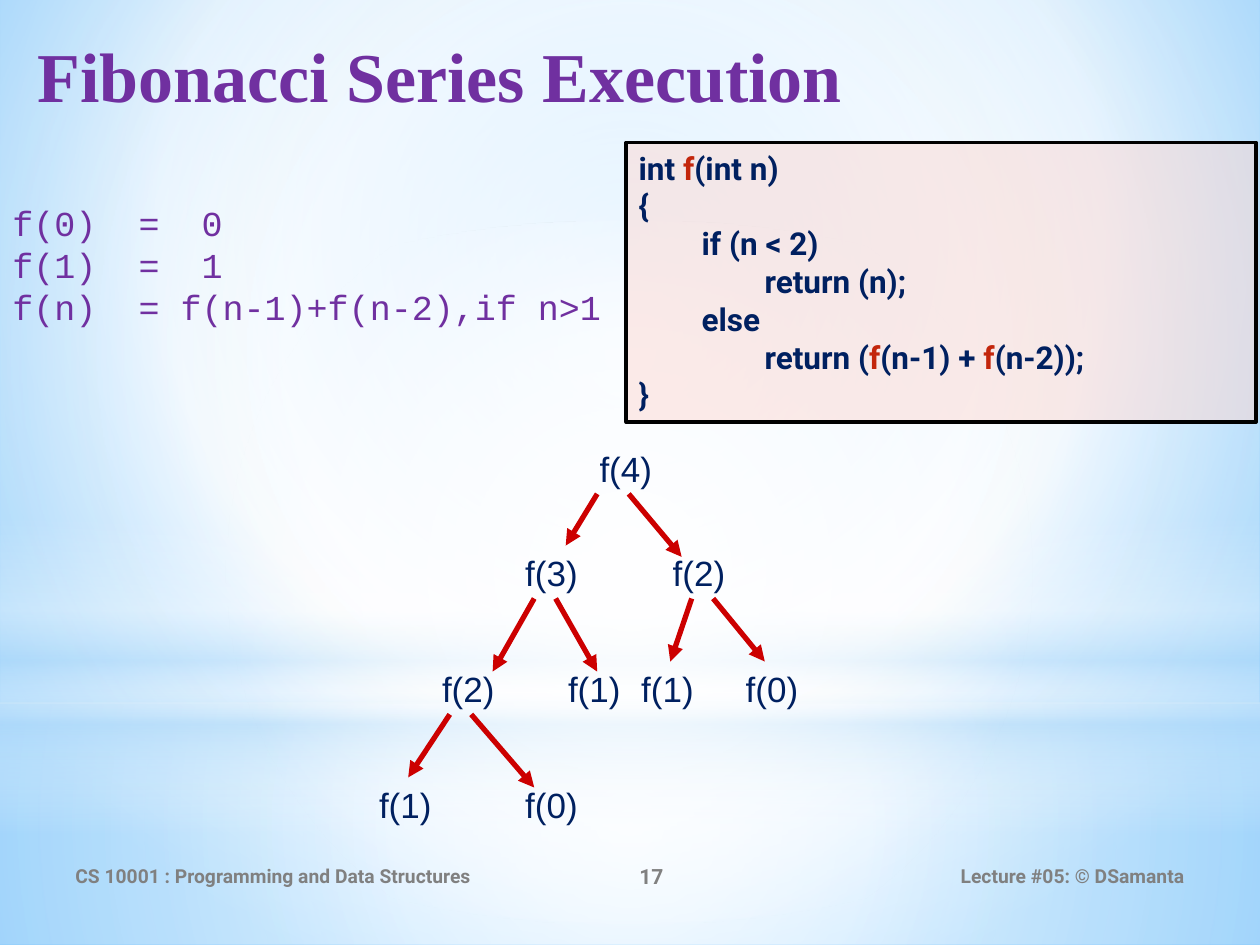
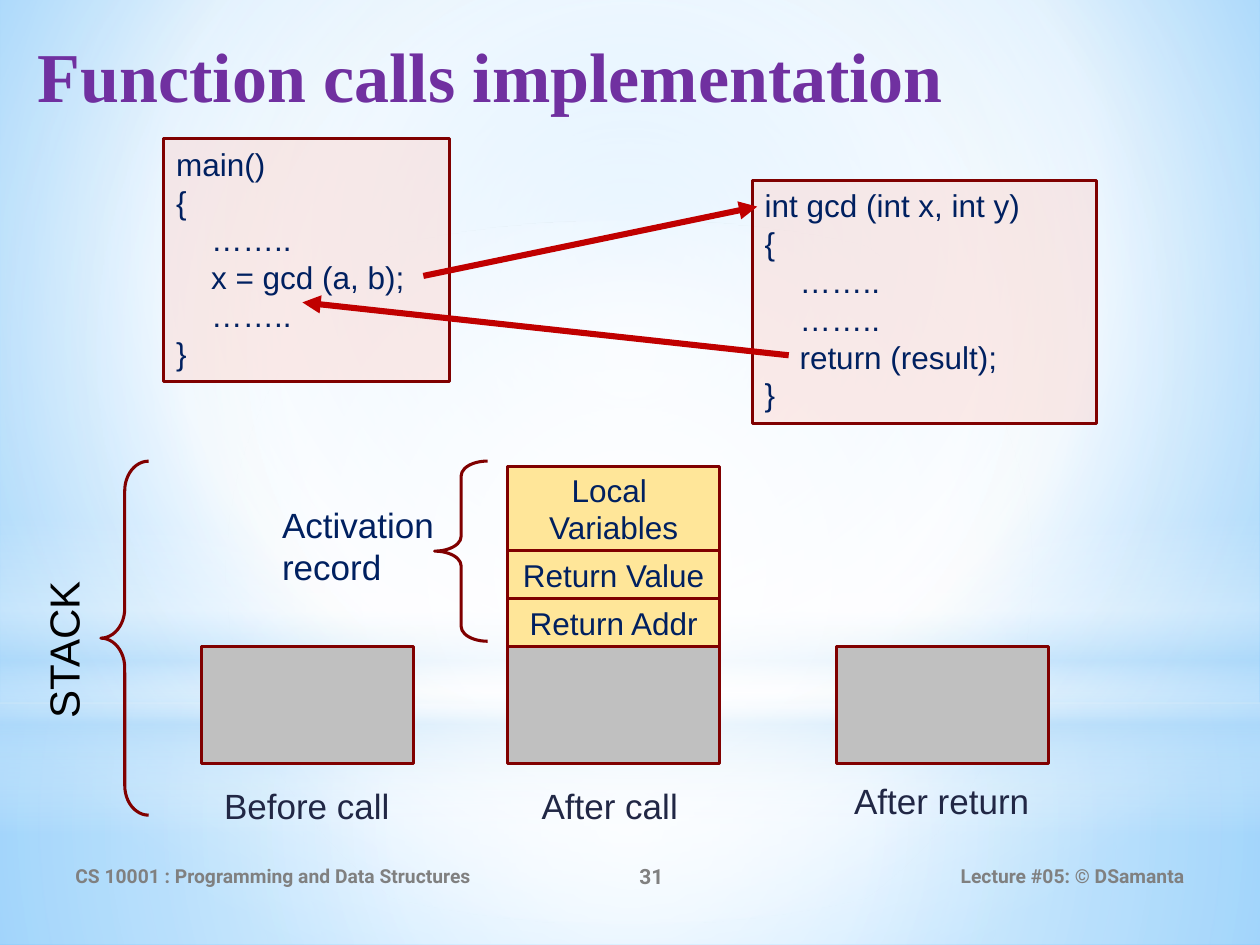
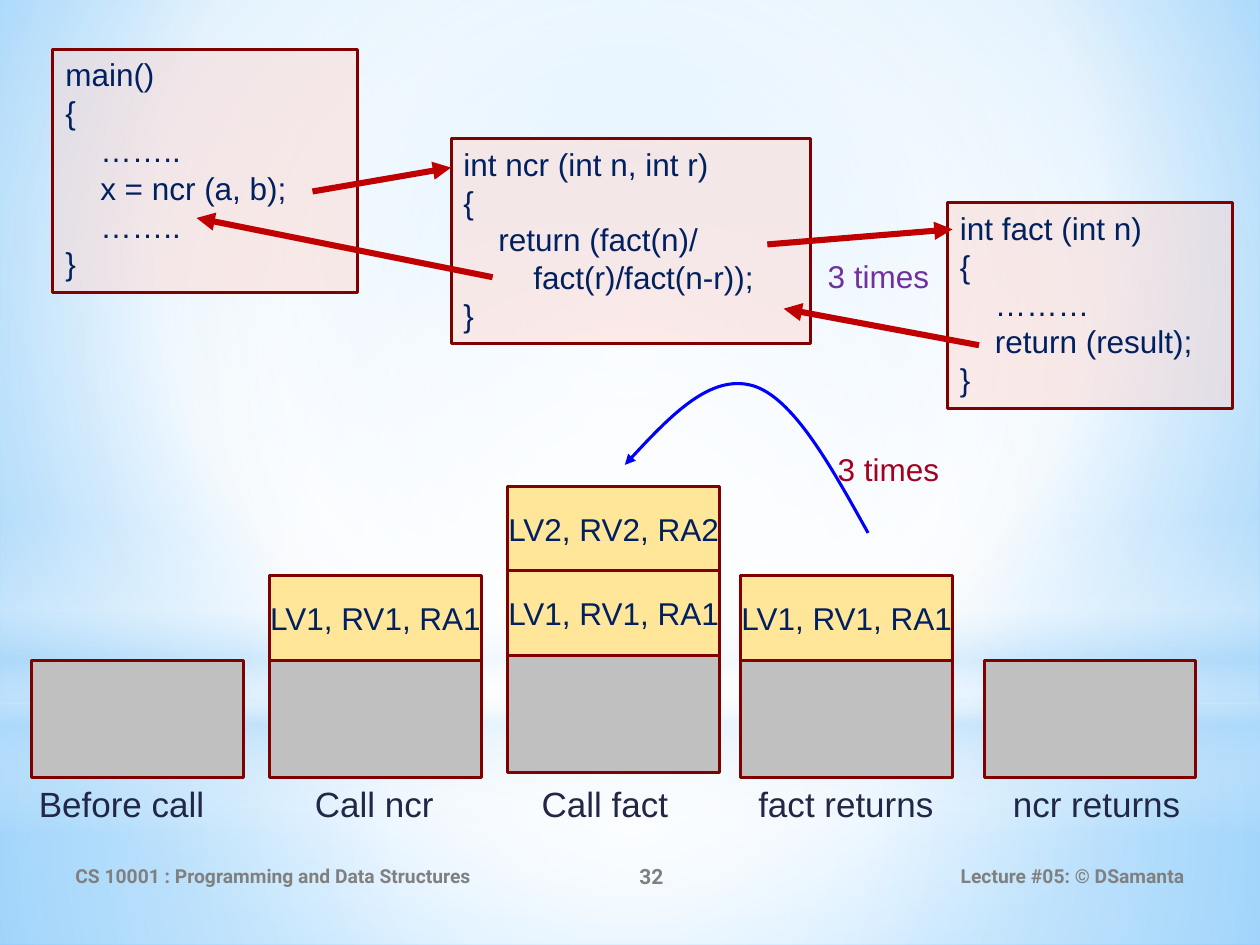
from dataclasses import dataclass
from typing import Optional

import lxml.etree as etree
import pptx
import pptx.dml.color
import pptx.enum.shapes
import pptx.enum.text
import pptx.oxml.ns
import pptx.util

Inches = pptx.util.Inches
qn = pptx.oxml.ns.qn
Align = pptx.enum.text.PP_ALIGN
Anchor = pptx.enum.text.MSO_ANCHOR
Fit = pptx.enum.text.MSO_AUTO_SIZE
Preset = pptx.enum.shapes.MSO_SHAPE

TITLE_ONLY, BLANK = 5, 6


@dataclass(frozen=True)
class TextStyle:
    size: float
    color: str
    font: str = "Arial"
    bold: bool = False


@dataclass(frozen=True)
class Theme:
    highlight: str = "C3260C"
    code_fill: str = "FCD9D3"
    outline: str = "800000"
    code_outline: str = "000000"
    tree_arrow: str = "CC0000"
    call_arrow: str = "C00000"
    loop_arrow: str = "0000FF"
    used: str = "C0C0C0"
    record: str = "FFE699"
    border: float = 1.75
    title: TextStyle = TextStyle(40, "7030A0", "Times New Roman", True)
    footer: TextStyle = TextStyle(11, "808080", "Roboto", True)
    number: TextStyle = TextStyle(12, "808080", "Roboto", True)
    recurrence: TextStyle = TextStyle(20, "7030A0", "Courier New")
    function: TextStyle = TextStyle(18, "002060", "Roboto", True)
    code: TextStyle = TextStyle(18, "002060")
    node: TextStyle = TextStyle(20, "002060")
    caption: TextStyle = TextStyle(20, "212745")
    stack: TextStyle = TextStyle(24, "000000")
    call_count: TextStyle = TextStyle(18, "7030A0")
    loop_count: TextStyle = TextStyle(18, "A50021")


THEME = Theme()


@dataclass(frozen=True)
class Box:
    left: float
    top: float
    width: float
    height: float

    def emu(self) -> tuple:
        return tuple(Inches(v) for v in (self.left, self.top, self.width, self.height))


@dataclass(frozen=True)
class Gradient:
    """Stops are (position, colour, opacity); a focus (l, t, r, b) makes it circular."""
    stops: tuple
    focus: Optional[tuple] = None


@dataclass(frozen=True)
class Glow:
    preset: int
    box: Box
    gradient: Gradient


@dataclass(frozen=True)
class Code:
    box: Box
    lines: tuple


@dataclass(frozen=True)
class Arrow:
    x1: float
    y1: float
    x2: float
    y2: float


@dataclass(frozen=True)
class Frame:
    text: str
    height: float = 0.67


@dataclass(frozen=True)
class Stack:
    """A used block with activation frames piled on it, bottom first."""
    left: float
    bottom: float
    caption: str
    caption_left: float
    caption_top: float
    frames: tuple = ()


CENTRE = (50, 50, 50, 50)
BACKDROP = Gradient(((0, "9ED5FF", 100), (60, "FFFFFF", 100), (100, "5BB9FF", 100)),
                    (20, 10, 20, 60))
GLOWS = (
    Glow(Preset.RECTANGLE, Box(0, 5.58, 10, 1.92), Gradient(
        ((0, "FFFFFF", 91), (37, "FFFFFF", 76), (100, "B4DCFA", 79)), CENTRE)),
    Glow(Preset.RECTANGLE, Box(0, 0, 10, 5.58), Gradient(
        ((0, "FFFFFF", 89), (48, "FFFFFF", 62), (100, "B4DCFA", 79)), CENTRE)),
    Glow(Preset.RECTANGLE, Box(0, 4.12, 10, 2.5), Gradient(
        ((0, "FFFFFF", 0), (29, "FFFFFF", 30), (45, "B4DCFA", 40),
         (55, "FFFFFF", 26), (65, "B4DCFA", 60), (100, "FFFFFF", 0)))),
    Glow(Preset.OVAL, Box(0, 1.75, 10, 5.58), Gradient(
        ((0, "FFFFFF", 100), (56, "FFFFFF", 0)), CENTRE)),
)


def rgb(color: str):
    return pptx.dml.color.RGBColor.from_string(color)


def set_opacity(color_element, percent: float) -> None:
    etree.SubElement(color_element, qn("a:alpha"), val=str(percent * 1000))


def swap_in_gradient(properties, gradient: Gradient) -> None:
    """Replace the solid fill in a properties element by a gradient."""
    fill = etree.Element(qn("a:gradFill"), rotWithShape="1")
    stops = etree.SubElement(fill, qn("a:gsLst"))
    for position, color, opacity in gradient.stops:
        stop = etree.SubElement(stops, qn("a:gs"), pos=str(position * 1000))
        set_opacity(etree.SubElement(stop, qn("a:srgbClr"), val=color), opacity)
    if gradient.focus:
        circle = etree.SubElement(fill, qn("a:path"), {"path": "circle"})
        sides = {side: str(v * 1000) for side, v in zip("ltrb", gradient.focus)}
        etree.SubElement(circle, qn("a:fillToRect"), sides)
    else:
        etree.SubElement(fill, qn("a:lin"), ang="5400000", scaled="0")
    properties.replace(properties.find(qn("a:solidFill")), fill)


def write(frame, lines: tuple, style: TextStyle, align=Align.LEFT,
          anchor=Anchor.TOP, fit=Fit.NONE, wrap: bool = True) -> None:
    """Write one paragraph per line; parts between bars are highlighted."""
    frame.text = "\n".join(lines)
    frame.word_wrap = wrap
    frame.auto_size = fit
    frame.vertical_anchor = anchor
    for paragraph in frame.paragraphs:
        paragraph.alignment = align
        first, *rest = paragraph.text.split("|")
        paragraph.text = first
        for piece in rest:
            paragraph.add_run().text = piece
        for index, run in enumerate(paragraph.runs):
            run.font.name = style.font
            run.font.size = pptx.util.Pt(style.size)
            run.font.bold = style.bold
            run.font.color.rgb = rgb(THEME.highlight if index % 2 else style.color)


def add_text(slide, box: Box, text: str, style: TextStyle, **options):
    label = slide.shapes.add_textbox(*box.emu())
    write(label.text_frame, tuple(text.split("\n")), style, **options)
    return label


def add_block(slide, preset, box: Box, fill: Optional[str],
              outline: str = THEME.outline, border: float = THEME.border):
    block = slide.shapes.add_shape(preset, *box.emu())
    block.shadow.inherit = False
    if fill:
        block.fill.solid()
        block.fill.fore_color.rgb = rgb(fill)
    else:
        block.fill.background()
    block.line.color.rgb = rgb(outline)
    block.line.width = pptx.util.Pt(border)
    return block


def add_code(slide, code: Code, style: TextStyle = THEME.code, **outline):
    listing = add_block(slide, Preset.RECTANGLE, code.box, THEME.code_fill, **outline)
    set_opacity(listing.element.spPr.find(qn("a:solidFill"))[0], 50)
    write(listing.text_frame, code.lines, style, fit=Fit.SHAPE_TO_FIT_TEXT)
    return listing


def add_arrowhead(line) -> None:
    etree.SubElement(line.element.spPr.find(qn("a:ln")), qn("a:tailEnd"), type="triangle")


def add_arrow(slide, arrow: Arrow, color: str, width: float) -> None:
    ends = (Inches(v) for v in (arrow.x1, arrow.y1, arrow.x2, arrow.y2))
    line = slide.shapes.add_connector(pptx.enum.shapes.MSO_CONNECTOR.STRAIGHT, *ends)
    line.line.color.rgb = rgb(color)
    line.line.width = pptx.util.Pt(width)
    add_arrowhead(line)
    etree.SubElement(line.element.spPr, qn("a:effectLst"))


def add_curved_arrow(slide, points: tuple, color: str) -> None:
    """Draw a chain of cubic curves: a start, then three points per curve."""
    start, *rest = [(Inches(x), Inches(y)) for x, y in points]
    builder = slide.shapes.build_freeform(*start)
    builder.add_line_segments(rest, close=False)
    curve = builder.convert_to_shape()
    curve.shadow.inherit = False
    curve.fill.background()
    curve.line.color.rgb = rgb(color)
    curve.line.width = pptx.util.Pt(THEME.border)
    add_arrowhead(curve)
    segments = list(curve.element.iter(qn("a:lnTo")))
    outline = segments[0].getparent()
    for first in range(0, len(segments), 3):
        bezier = etree.SubElement(outline, qn("a:cubicBezTo"))
        for segment in segments[first:first + 3]:
            bezier.append(segment[0])
            outline.remove(segment)


def add_brace(slide, box: Box, curl: float) -> None:
    brace = add_block(slide, Preset.LEFT_BRACE, box, None)
    brace.adjustments[0] = curl
    brace.adjustments[1] = 0.5


def add_stack(slide, stack: Stack) -> None:
    width, used_height = 1.68, 0.93
    top = stack.bottom - used_height
    add_block(slide, Preset.RECTANGLE, Box(stack.left, top, width, used_height), THEME.used)
    for frame in stack.frames:
        top -= frame.height
        record = add_block(slide, Preset.RECTANGLE,
                           Box(stack.left, top, width, frame.height), THEME.record)
        write(record.text_frame, tuple(frame.text.split("\n")), THEME.code,
              align=Align.CENTER, anchor=Anchor.MIDDLE, wrap=False)
    add_text(slide, Box(stack.caption_left, stack.caption_top, 2.06, 0.43),
             stack.caption, THEME.caption)


def add_calls(slide, codes: tuple, arrows: tuple, stacks: tuple) -> None:
    for code in codes:
        add_code(slide, code)
    for arrow in arrows:
        add_arrow(slide, arrow, THEME.call_arrow, 3.5)
    for stack in stacks:
        add_stack(slide, stack)


def start_slide(deck, number: int, title: Optional[str] = None):
    slide = deck.slides.add_slide(deck.slide_layouts[TITLE_ONLY if title else BLANK])
    if title:
        heading = slide.shapes.title
        heading.left, heading.top, heading.width, heading.height = Box(
            0.2, 0.21, 9.53, 1.1).emu()
        write(heading.text_frame, (title,), THEME.title)
    footers = (
        (Box(0.5, 6.75, 3.67, 0.4), "CS 10001 : Programming and Data Structures",
         THEME.footer, Align.LEFT),
        (Box(4.17, 6.75, 2, 0.4), str(number), THEME.number, Align.CENTER),
        (Box(6.75, 6.75, 2.75, 0.4), "Lecture #05: © DSamanta", THEME.footer, Align.RIGHT),
    )
    for box, text, style, align in footers:
        add_text(slide, box, text, style, align=align, anchor=Anchor.MIDDLE)
    return slide


def decorate_master(deck, slide) -> None:
    """Give the master its backdrop and move the glows, drawn on a slide, to it."""
    master = deck.slide_master
    master.background.fill.solid()
    master.background.fill.fore_color.rgb = rgb("FFFFFF")
    swap_in_gradient(next(master.element.iter(qn("p:bgPr"))), BACKDROP)
    for depth, glow in enumerate(GLOWS):
        light = add_block(slide, glow.preset, glow.box, "FFFFFF")
        light.line.fill.background()
        swap_in_gradient(light.element.spPr, glow.gradient)
        master.shapes.element.insert(2 + depth, light.element)


def fibonacci(deck):
    slide = start_slide(deck, 17, "Fibonacci Series Execution")
    add_text(slide, Box(0, 1.55, 4.92, 1.11),
             "f(0)  =  0\nf(1)  =  1\nf(n)  = f(n-1)+f(n-2),if n>1",
             THEME.recurrence, align=Align.JUSTIFY)
    calls_by_level = (
        (3.5, ((4, 4.66),)),
        (4.33, ((3, 4.07), (2, 5.24))),
        (5.25, ((2, 3.41), (1, 4.41), (1, 4.99), (0, 5.82))),
        (6.17, ((1, 2.91), (0, 4.07))),
    )
    for top, calls in calls_by_level:
        for argument, left in calls:
            add_text(slide, Box(left, top, 0.75, 0.43), f"f({argument})", THEME.node)
    branches = (
        Arrow(4.74, 3.92, 4.49, 4.33), Arrow(4.99, 3.92, 5.41, 4.42),
        Arrow(4.24, 4.75, 3.91, 5.33), Arrow(4.41, 4.75, 4.74, 5.33),
        Arrow(5.49, 4.75, 5.32, 5.25), Arrow(5.66, 4.75, 6.07, 5.25),
        Arrow(3.57, 5.67, 3.24, 6.17), Arrow(3.74, 5.67, 4.24, 6.25),
    )
    for branch in branches:
        add_arrow(slide, branch, THEME.tree_arrow, 3)
    listing = add_code(slide, Code(Box(4.97, 1.13, 5, 2.22), (
        "int |f|(int n)", "{", "if (n < 2)", "\treturn (n);", "else",
        "\treturn (|f|(n-1) + |f|(n-2));", "}")),
        THEME.function, outline=THEME.code_outline, border=2)
    for paragraph in listing.text_frame.paragraphs[2:6]:
        paragraph.level = 1
        properties = paragraph._p.get_or_add_pPr()
        properties.set("marL", str(Inches(0.5)))
        properties.set("indent", "0")
    return slide


def function_calls(deck) -> None:
    slide = start_slide(deck, 31, "Function calls implementation")
    codes = (
        Code(Box(1.3, 1.1, 2.27, 1.93), (
            "main()", "{", "    ……..", "    x = gcd (a, b);", "    ……..", "}")),
        Code(Box(5.97, 1.43, 2.73, 1.93), (
            "int gcd (int x, int y)", "{", "    ……..", "    ……..",
            "    return (result);", "}")),
    )
    arrows = (Arrow(3.36, 2.19, 6.01, 1.64), Arrow(6.26, 2.82, 2.4, 2.4))
    record = (Frame("Return Addr", 0.38), Frame("Return Value", 0.38),
              Frame("Local \nVariables"))
    stacks = (
        Stack(1.6, 6.06, "Before call", 1.68, 6.18),
        Stack(4.03, 6.06, "After call", 4.2, 6.18, record),
        Stack(6.64, 6.06, "After return", 6.68, 6.14),
    )
    add_calls(slide, codes, arrows, stacks)
    add_brace(slide, Box(0.8, 3.66, 0.38, 2.81), 0.62)
    add_brace(slide, Box(3.45, 3.66, 0.42, 1.43), 0.28)
    add_text(slide, Box(-0.74, 4.31, 2.48, 0.5), "STACK", THEME.stack).rotation = 270
    add_text(slide, Box(2.14, 3.95, 1.81, 0.77), "Activation record", THEME.node)


def nested_calls(deck) -> None:
    slide = start_slide(deck, 32)
    codes = (
        Code(Box(0.42, 0.39, 2.42, 1.93), (
            "main()", "{", "    ……..", "    x = ncr (a, b);", "    ……..", "}")),
        Code(Box(3.58, 1.1, 2.85, 1.63), (
            "int ncr (int n, int r)", "{", "    return (fact(n)/",
            "        fact(r)/fact(n-r));", "}")),
        Code(Box(7.52, 1.61, 2.26, 1.63), (
            "int fact (int n)", "{", "    ………", "    return (result);", "}")),
    )
    arrows = (
        Arrow(2.48, 1.52, 3.58, 1.33), Arrow(3.91, 2.2, 1.56, 1.73),
        Arrow(6.09, 1.94, 7.56, 1.82), Arrow(7.77, 2.74, 6.22, 2.45),
    )
    ncr, fact = Frame("LV1, RV1, RA1"), Frame("LV2, RV2, RA2")
    stacks = (
        Stack(0.25, 6.17, "Before call", 0.21, 6.16),
        Stack(2.14, 6.17, "Call ncr", 2.4, 6.16, (ncr,)),
        Stack(4.03, 6.13, "Call fact", 4.2, 6.16, (ncr, fact)),
        Stack(5.88, 6.17, "fact returns", 5.92, 6.16, (ncr,)),
        Stack(7.81, 6.17, "ncr returns", 7.94, 6.16),
    )
    add_calls(slide, codes, arrows, stacks)
    add_text(slide, Box(6.47, 1.99, 1.43, 0.4), "3 times", THEME.call_count)
    add_curved_arrow(slide, ((6.89, 4.23), (6.59, 3.69), (6.29, 3.15), (5.97, 3.06),
                             (5.64, 2.97), (5.3, 3.32), (4.96, 3.69)), THEME.loop_arrow)
    add_text(slide, Box(6.55, 3.52, 1.43, 0.37), "3 times", THEME.loop_count)


def main() -> None:
    deck = pptx.Presentation()
    deck.slide_width, deck.slide_height = Inches(10), Inches(7.5)
    decorate_master(deck, fibonacci(deck))
    function_calls(deck)
    nested_calls(deck)
    deck.save("out.pptx")


if __name__ == "__main__":
    main()
